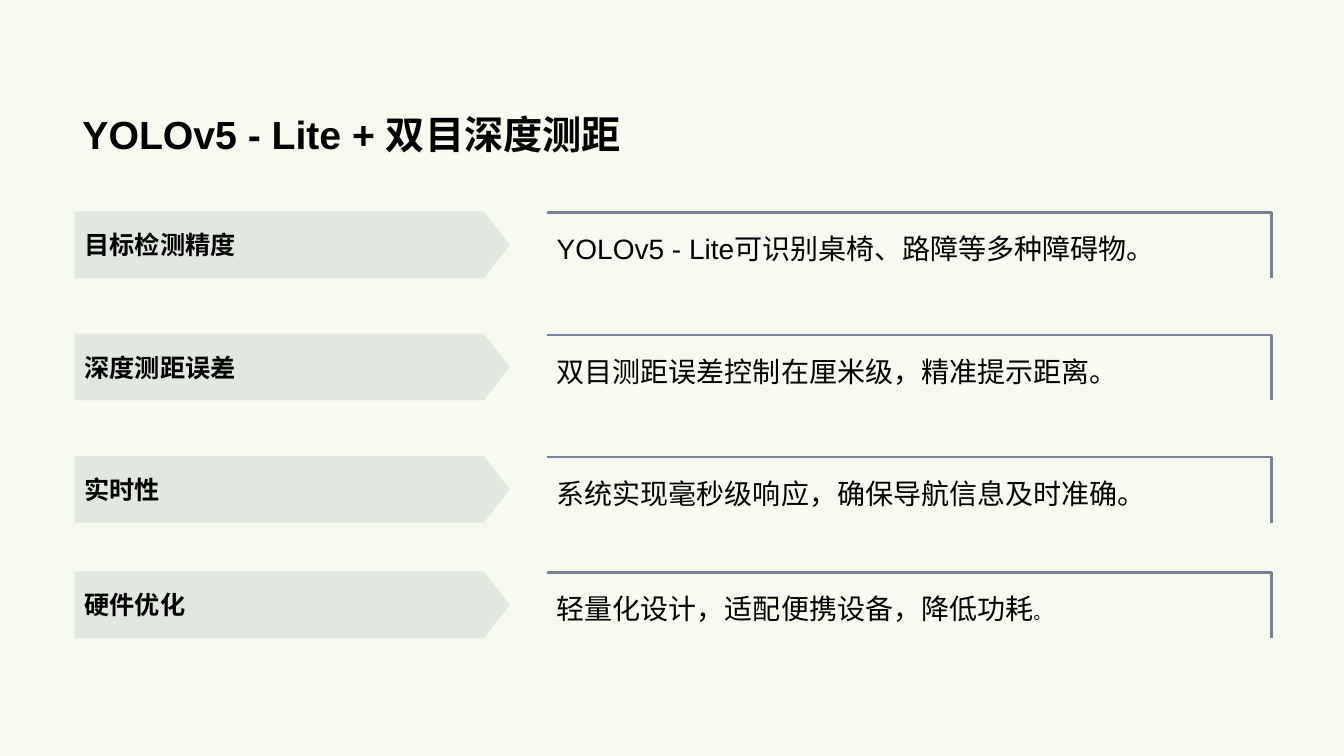
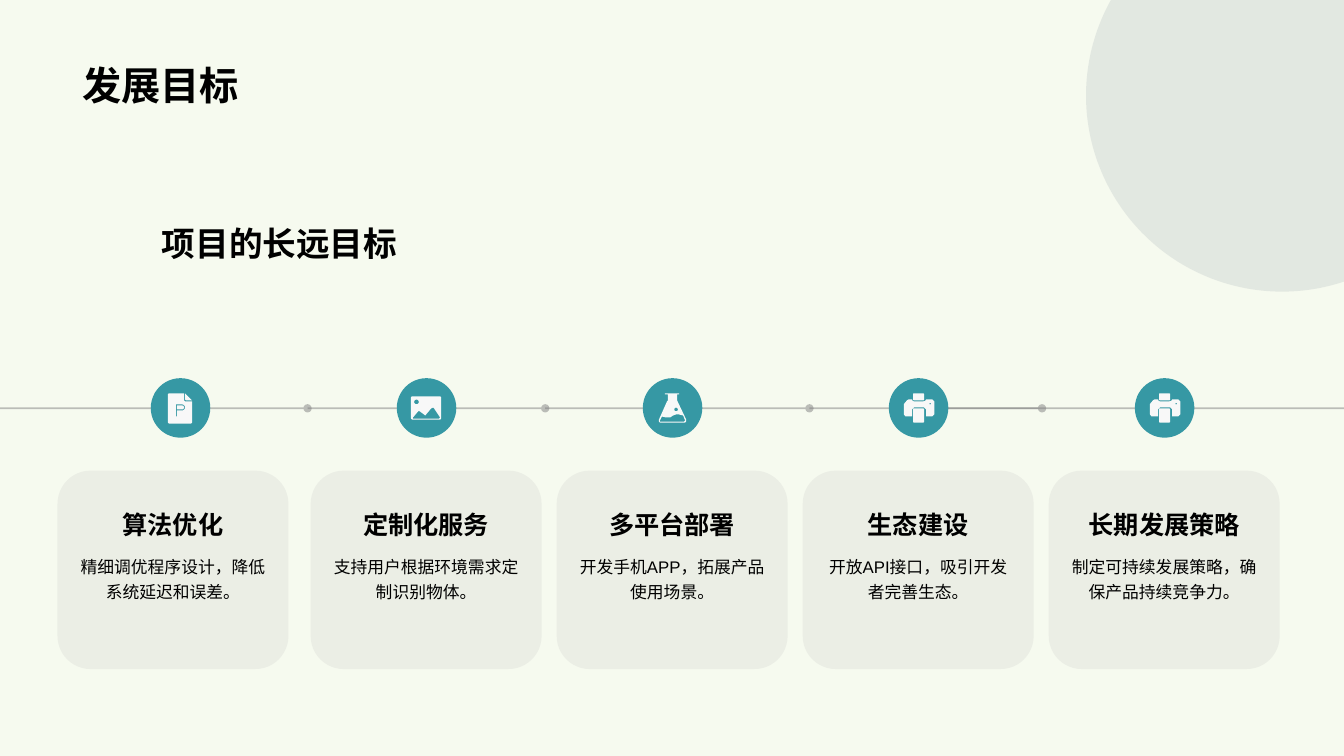
import math
from dataclasses import dataclass

from lxml import etree
from pptx import Presentation
from pptx.dml.color import RGBColor
from pptx.enum import dml, lang, shapes, text
from pptx.oxml import ns
from pptx.util import Cm, Pt


@dataclass(frozen=True)
class Theme:
    font: str = "Arial"
    paper: str = "F6FAEF"
    ink: str = "000000"
    slate: str = "768394"
    card: str = "BFBFBF"
    axis: str = "808080"
    teal: str = "3698A4"
    icon: str = "F8F8F8"
    title: int = 28
    subtitle: int = 24
    statement: int = 20
    heading: int = 18
    small: int = 12


THEME = Theme()
WIDTH, HEIGHT = 33.87, 19.05
ANCHOR = text.MSO_ANCHOR
SHAPE = shapes.MSO_SHAPE

FEATURES = [
    (5.33, "目标检测精度", [("YOLOv5 - Lite可识别桌椅、路障等多种障碍物。", THEME.statement)]),
    (8.41, "深度测距误差", [("双目测距误差控制在厘米级，精准提示距离。", THEME.statement)]),
    (11.49, "实时性", [("系统实现毫秒级响应，确保导航信息及时准确。", THEME.statement)]),
    (14.4, "硬件优化", [("轻量化设计，适配便携设备，降低功耗", THEME.statement),
                    ("。", THEME.small)]),
]
GOALS = [
    (1.45, "document", "算法优化", "精细调优程序设计，降低系统延迟和误差。"),
    (7.83, "photo", "定制化服务", "支持用户根据环境需求定制识别物体。"),
    (14.03, "flask", "多平台部署", "开发手机APP，拓展产品使用场景。"),
    (20.23, "printer", "生态建设", "开放API接口，吸引开发者完善生态。"),
    (26.43, "printer", "长期发展策略", "制定可持续发展策略，确保产品持续竞争力。"),
]


def arc(x, y, radius, start, end, steps=24):
    """Points along a circle, angles in degrees, clockwise from the right."""
    angles = [math.radians(start + (end - start) * i / steps) for i in range(steps + 1)]
    return [(x + radius * math.cos(a), y + radius * math.sin(a)) for a in angles]


def rounded(left, top, right, bottom, radius=1):
    corners = [(right - radius, bottom - radius, 0), (left + radius, bottom - radius, 90),
               (left + radius, top + radius, 180), (right - radius, top + radius, 270)]
    return [point for x, y, start in corners
            for point in arc(x, y, radius, start, start + 90, 6)]


# Outlines on a grid of 59 units across the badge; inner outlines are holes.
ICONS = {
    "document": [
        [(17, 16), (18, 15), (33, 15), (33, 22), (34, 23), (41, 23), (41, 44),
         (40, 45), (18, 45), (17, 44)],
        [(25, 26), *arc(31, 29, 3, -90, 90, 8), (26, 32), (26, 38), (25, 38)],
        [(26, 27), *arc(31, 29, 2, -90, 90, 8), (26, 31)],
        [(34, 15), (41, 22), (35, 22), (34, 21)],
    ],
    "photo": [
        rounded(14, 18, 44, 41, 1.5),
        [(36, 29), (34, 30), (29, 36), (28, 37), (27, 36), (23, 33), (22, 32.5),
         (21, 33), (16, 39), (16, 40), (42, 40), (43, 39), (37, 30)],
        arc(19.5, 23.5, 2.3, 0, 360),
    ],
    "flask": [
        [(16, 43), (16, 41), (24, 23), (25, 22), (25, 16), (22, 16), (22, 15),
         (36, 15), (36, 16), (34, 16), (34, 22), (43, 41), (43, 43), (42, 44), (17, 44)],
        [(30, 37), (27, 39), (23, 39), (19, 38), (17, 42), (17, 43), (41, 43),
         (42, 42), (40, 37), (36, 36), (33, 36)],
        arc(33, 31, 1.8, 0, 360),
    ],
    "printer": [
        rounded(24, 30, 35, 44),
        rounded(24, 15, 35, 22),
        [(23, 21), (23.5, 22.5), (25, 23), (34, 23), (36, 22.5), (37, 21), (43, 21),
         (45, 23), (45, 36), (43, 38), (37, 38), (37, 31), (35, 29), (25, 29),
         (23, 31), (23, 38), (16.5, 38), (15, 36), (15, 25.5), (18, 22), (19.5, 21)],
        arc(41, 25.3, 0.8, 0, 360, 12),
    ],
}


def set_alpha(owner, percent):
    """Make the solid colour of a fill or line see-through."""
    color = next(owner.iter(ns.qn("a:srgbClr")))
    etree.SubElement(color, ns.qn("a:alpha")).set("val", str(percent * 1000))


def paint(shape, color, alpha=100):
    shape.shadow.inherit = False
    shape.fill.solid()
    shape.fill.fore_color.rgb = RGBColor.from_string(color)
    if alpha < 100:
        set_alpha(shape.fill._xPr, alpha)
    shape.line.fill.background()


def write(shape, spans, bold=False, align=text.PP_ALIGN.LEFT, anchor=ANCHOR.MIDDLE,
          spacing=1.0, inset=(0.25, 0.13)):
    """Fill a shape with one paragraph of (wording, size) spans."""
    frame = shape.text_frame
    frame.word_wrap = True
    frame.vertical_anchor = anchor
    frame.margin_left = frame.margin_right = Cm(inset[0])
    frame.margin_top = frame.margin_bottom = Cm(inset[1])
    para = frame.paragraphs[0]
    para.alignment = align
    para.line_spacing = spacing
    for wording, size in spans:
        span = para.add_run()
        span.text = wording
        font = span.font
        font.name, font.size, font.bold = THEME.font, Pt(size), bold
        font.language_id = lang.MSO_LANGUAGE_ID.SIMPLIFIED_CHINESE
        font.color.rgb = RGBColor.from_string(THEME.ink)
        east_asian = etree.Element(ns.qn("a:ea"), typeface=THEME.font)
        font._element.find(ns.qn("a:latin")).addnext(east_asian)


def add_box(page, left, top, width, height, kind=None):
    """Add a preset shape, or a text box when no kind is given."""
    place = Cm(left), Cm(top), Cm(width), Cm(height)
    if kind is None:
        return page.shapes.add_textbox(*place)
    return page.shapes.add_shape(kind, *place)


def add_outline(page, contours, close=True):
    """Draw contours given in centimetres as one freeform."""
    contours = [[(Cm(x), Cm(y)) for x, y in points] for points in contours]
    builder = page.shapes.build_freeform(*contours[0][0], scale=1.0)
    for number, points in enumerate(contours):
        if number:
            builder.move_to(*points[0])
        builder.add_line_segments(points[1:], close=close)
    return builder.convert_to_shape()


def add_page(deck, title, top):
    page = deck.slides.add_slide(deck.slide_layouts[6])
    page.background.fill.solid()
    page.background.fill.fore_color.rgb = RGBColor.from_string(THEME.paper)
    write(add_box(page, 1.83, top, 30.18, 2.49), [(title, THEME.title)],
          bold=True, anchor=ANCHOR.BOTTOM)
    return page


def add_feature(page, left, top, label, spans):
    """Arrow label with an open bracket holding its statement."""
    height = 1.68
    arrow = add_box(page, left, top, 10.97, height, SHAPE.PENTAGON)
    arrow.adjustments[0] = 0.39
    paint(arrow, THEME.slate, 15)
    write(arrow, [(label, THEME.heading)], bold=True)

    start, end, upper = left + 11.9, left + 30.16, top + 0.03
    bracket = add_outline(
        page, [[(start, upper), (end, upper), (end, top + height)]], close=False)
    bracket.shadow.inherit = False
    bracket.fill.background()
    bracket.line.color.rgb = RGBColor.from_string(THEME.slate)
    bracket.line.width = Pt(1.75)
    write(bracket, spans, spacing=1.2)


def add_corner_disc(page, x, y, radius):
    """Disc cut off by the top and right edges of the page."""
    upper = 180 + math.degrees(math.asin(y / radius))
    lower = math.degrees(math.acos((WIDTH - x) / radius))
    disc = add_outline(page, [[(WIDTH, 0), *arc(x, y, radius, upper, lower, 90)]])
    paint(disc, THEME.slate, 15)


def add_axis(page, start, end, y, dot):
    line = page.shapes.add_connector(
        shapes.MSO_CONNECTOR.STRAIGHT, Cm(start), Cm(y), Cm(end), Cm(y))
    line.line.color.rgb = RGBColor.from_string(THEME.axis)
    line.line.width = Pt(1.25)
    line.line.dash_style = dml.MSO_LINE.SOLID
    properties = line._element.spPr
    stroke = properties.find(ns.qn("a:ln"))
    set_alpha(stroke, 50)
    if dot:
        etree.SubElement(stroke, ns.qn("a:tailEnd"), type="oval")
    etree.SubElement(properties, ns.qn("a:effectLst"))


def add_badge(page, left, top, size, icon):
    paint(add_box(page, left, top, size, size, SHAPE.OVAL), THEME.teal)
    unit = size / 59
    contours = [[(left + x * unit, top + y * unit) for x, y in points]
                for points in ICONS[icon]]
    paint(add_outline(page, contours), THEME.icon)


def add_goal_card(page, left, top, heading, body):
    width, pad = 5.82, 0.18
    center = text.PP_ALIGN.CENTER
    paint(add_box(page, left, top, width, 5, SHAPE.ROUNDED_RECTANGLE), THEME.card, 20)
    inner = width - 2 * pad
    write(add_box(page, left + pad, top + 0.71, inner, 1.27), [(heading, THEME.heading)],
          bold=True, align=center, anchor=ANCHOR.BOTTOM, inset=(0.25, 0.25))
    write(add_box(page, left + pad, top + 1.78, inner, 2.62), [(body, THEME.small)],
          align=center, anchor=ANCHOR.TOP, spacing=1.2, inset=(0.3, 0.3))


def build_features(deck):
    page = add_page(deck, "YOLOv5 - Lite + 双目深度测距", 1.6)
    for top, label, spans in FEATURES:
        add_feature(page, 1.88, top, label, spans)


def build_goals(deck):
    page = add_page(deck, "发展目标", 0.36)
    add_corner_disc(page, 32.31, 2.41, 4.94)
    for start, end, dot in [(20.4, WIDTH, False), (22.94, 26.26, True), (0, 7.75, True),
                            (7.75, 13.74, True), (13.74, 20.4, True)]:
        add_axis(page, start, end, 10.29, dot)
    for number, (left, icon, heading, body) in enumerate(GOALS):
        add_goal_card(page, left, 11.86, heading, body)
        add_badge(page, 3.8 + 6.2 * number, 9.53, 1.5, icon)
    write(add_box(page, 3.78, 3.58, 15.39, 3.35), [("项目的长远目标", THEME.subtitle)],
          bold=True, anchor=ANCHOR.BOTTOM, inset=(0.3, 0.3))


def main():
    deck = Presentation()
    deck.slide_width, deck.slide_height = Cm(WIDTH), Cm(HEIGHT)
    build_features(deck)
    build_goals(deck)
    deck.save("out.pptx")


if __name__ == "__main__":
    main()
